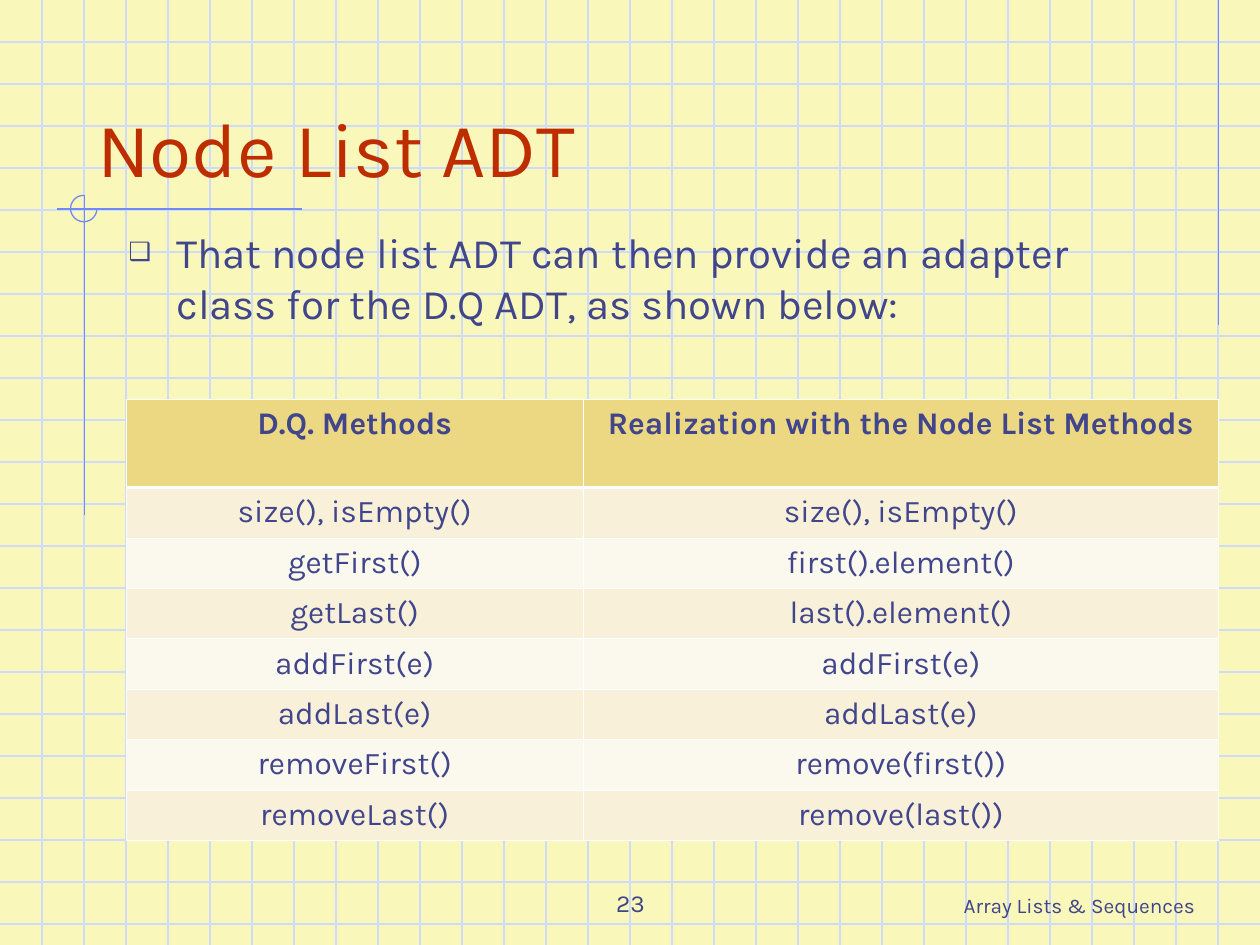
from lxml.etree import SubElement
from pptx import Presentation
from pptx.dml.color import RGBColor
from pptx.enum.shapes import MSO_CONNECTOR, MSO_SHAPE
from pptx.enum.text import MSO_ANCHOR, MSO_AUTO_SIZE, PP_ALIGN
from pptx.oxml.ns import qn
from pptx.util import Inches, Pt

COLORS = {
    "paper": "F9F8BA", "grid": "CFDBFD", "accent": "6F89F7",
    "title": "BE2D00", "text": "40458C", "header": "ECD882",
    "odd": "F8F0D8", "even": "FBF8ED", "border": "FFFFFF",
}
FONT = "Karla"
WIDTH, HEIGHT = 10, 7.5
GRID_STEPS_PER_INCH = 3
TITLE = "Node List ADT"
BODY = "That node list ADT can then provide an adapter class for the D.Q ADT, as shown below:"
FOOTERS = [
    ("Array Lists & Sequences", 7.5, 2.08, 11.9, PP_ALIGN.RIGHT),
    ("23", 3.42, 3.17, 14, PP_ALIGN.CENTER),
]
ACCENT_LINES = [
    (9.67, 0, 9.67, 2.58),
    (2.4, 1.66, 0.45, 1.66),
    (0.67, 1.55, 0.67, 4.09),
]
METHODS = [
    ("D.Q. Methods", "Realization with the Node List Methods"),
    ("size(), isEmpty()", "size(), isEmpty()"),
    ("getFirst()", "first().element()"),
    ("getLast()", "last().element()"),
    ("addFirst(e)", "addFirst(e)"),
    ("addLast(e)", "addLast(e)"),
    ("removeFirst()", "remove(first())"),
    ("removeLast()", "remove(last())"),
]
COLUMN_WIDTHS = [3.63, 5.04]
HEADER_HEIGHT, ROW_HEIGHT = 0.7, 0.4


def color(name):
    return RGBColor.from_string(COLORS[name])


def add_line(page, start_x, start_y, end_x, end_y, name):
    line = page.shapes.add_connector(
        MSO_CONNECTOR.STRAIGHT, *map(Inches, (start_x, start_y, end_x, end_y)))
    line.line.color.rgb = color(name)
    line.line.width = Pt(0.75)
    SubElement(line._element.spPr, qn("a:effectLst"))


def add_span(para, text, size, name="text", bold=False):
    span = para.add_run()
    span.text = text
    span.font.name = FONT
    span.font.size = Pt(size)
    span.font.bold = bold
    span.font.color.rgb = color(name)


def draw_paper(page):
    page.background.fill.solid()
    page.background.fill.fore_color.rgb = color("paper")
    for step in range(1, int(HEIGHT * GRID_STEPS_PER_INCH) + 1):
        y = step / GRID_STEPS_PER_INCH
        add_line(page, 0, y, WIDTH, y, "grid")
    for step in range(1, WIDTH * GRID_STEPS_PER_INCH):
        x = step / GRID_STEPS_PER_INCH
        add_line(page, x, 0, x, HEIGHT, "grid")
    for ends in ACCENT_LINES:
        add_line(page, *ends, "accent")
    arc = page.shapes.add_shape(
        MSO_SHAPE.ARC, Inches(0.56), Inches(1.55), Inches(0.21), Inches(0.21))
    arc.adjustments[0], arc.adjustments[1] = 0, 162
    arc.shadow.inherit = False
    arc.fill.background()
    arc.line.color.rgb = color("accent")
    arc.line.width = Pt(0.75)


def fill_placeholder(page, box, place, anchor):
    page.shapes._spTree.append(box._element)
    box.left, box.top, box.width, box.height = map(Inches, place)
    frame = box.text_frame
    frame.word_wrap = True
    frame.auto_size = MSO_AUTO_SIZE.NONE
    frame.vertical_anchor = anchor
    para = frame.paragraphs[0]
    para.alignment = PP_ALIGN.LEFT
    para.space_before = Pt(0)
    return para


def add_bullet(para):
    properties = para._p.get_or_add_pPr()
    properties.set("marL", str(Inches(0.38)))
    properties.set("indent", str(Inches(-0.38)))
    bullet_color = SubElement(properties, qn("a:buClr"))
    SubElement(bullet_color, qn("a:srgbClr"), val=COLORS["text"])
    SubElement(properties, qn("a:buSzPct"), val="60000")
    SubElement(properties, qn("a:buFont"), typeface=FONT)
    SubElement(properties, qn("a:buChar"), char="❑")


def add_borders(cell, row):
    properties = cell._tc.get_or_add_tcPr()
    thick = {0: "lnB", 1: "lnT"}.get(row)
    for side in ("lnL", "lnR", "lnT", "lnB"):
        width = Pt(1.47 if side == thick else 0.45)
        border = SubElement(properties, qn(f"a:{side}"), w=str(width))
        fill = SubElement(border, qn("a:solidFill"))
        SubElement(fill, qn("a:srgbClr"), val=COLORS["border"])


def add_methods(page):
    heights = [HEADER_HEIGHT] + [ROW_HEIGHT] * (len(METHODS) - 1)
    table = page.shapes.add_table(
        len(METHODS), len(COLUMN_WIDTHS), Inches(1), Inches(3.17),
        Inches(sum(COLUMN_WIDTHS)), Inches(sum(heights))).table
    for column, width in zip(table.columns, COLUMN_WIDTHS):
        column.width = Inches(width)
    for row, (height, texts) in enumerate(zip(heights, METHODS)):
        table.rows[row].height = Inches(height)
        shade = "header" if row == 0 else "odd" if row % 2 else "even"
        for column, text in enumerate(texts):
            cell = table.cell(row, column)
            add_borders(cell, row)
            cell.fill.solid()
            cell.fill.fore_color.rgb = color(shade)
            para = cell.text_frame.paragraphs[0]
            para.alignment = PP_ALIGN.CENTER
            add_span(para, text, 18, bold=row == 0)


def main():
    """Build the node list slide and save it."""
    deck = Presentation()
    deck.slide_width, deck.slide_height = Inches(WIDTH), Inches(HEIGHT)
    page = deck.slides.add_slide(deck.slide_layouts[1])
    draw_paper(page)
    for text, left, width, size, alignment in FOOTERS:
        box = page.shapes.add_textbox(
            Inches(left), Inches(6.83), Inches(width), Inches(0.5))
        box.text_frame.word_wrap = True
        box.text_frame.vertical_anchor = MSO_ANCHOR.BOTTOM
        para = box.text_frame.paragraphs[0]
        para.alignment = alignment
        add_span(para, text, size)
    title, body = page.shapes.title, page.placeholders[1]
    para = fill_placeholder(page, title, (0.67, 0.33, 8.5, 1.25), MSO_ANCHOR.BOTTOM)
    add_span(para, TITLE, 44, "title")
    para = fill_placeholder(page, body, (0.92, 1.75, 8.5, 5.25), MSO_ANCHOR.TOP)
    add_bullet(para)
    add_span(para, BODY, 24)
    add_methods(page)
    deck.save("out.pptx")


if __name__ == "__main__":
    main()
